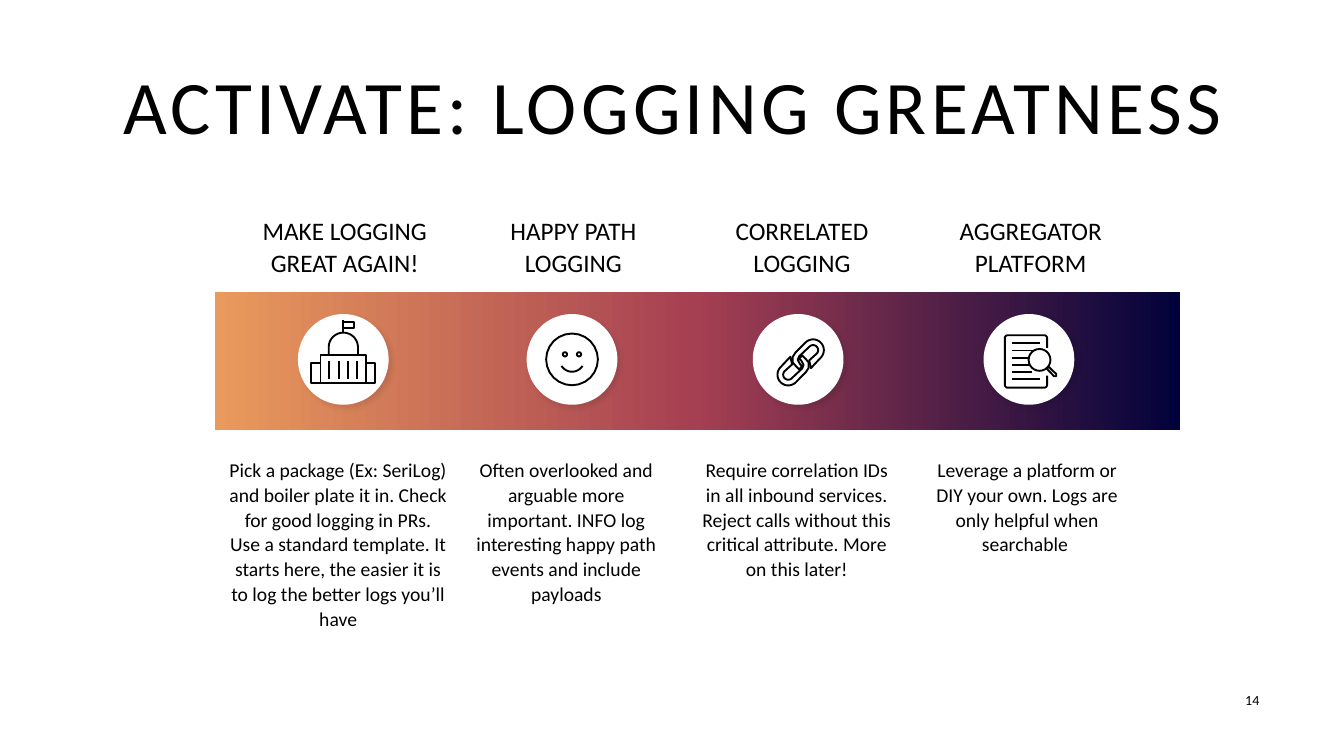
from math import cos, radians, sin

from lxml import etree
from pptx import Presentation, util as u
from pptx.dml.color import RGBColor
from pptx.enum import shapes, text
from pptx.oxml import parse_xml
from pptx.oxml.ns import nsdecls

COLORS = {"ink": "000000", "paper": "FFFFFF", "navy": "01023B",
          "rose": "A53F52", "amber": "EA9A5C"}
COLUMNS, ROWS = 160, 90


def arc(cx, cy, r, start=0, end=360):
    """Points along an arc; degrees run clockwise from three o'clock."""
    steps = 24
    angles = [radians(start + (end - start) * i / steps) for i in range(steps + 1)]
    return [(cx + r * cos(a), cy + r * sin(a)) for a in angles]


def box(left, top, right, bottom):
    return [(left, top), (right, top), (right, bottom), (left, bottom)]


class Deck:
    """Style and current slide; lengths are cells of a 160 by 90 grid."""

    font = "Calibri"
    stroke_width = u.Pt(1.35)

    def __init__(self):
        self.prs = Presentation()
        self.prs.slide_height = u.Inches(7.5)
        self.cell = self.prs.slide_height / ROWS
        self.prs.slide_width = round(self.cell * COLUMNS)
        self.s = self.prs.slides.add_slide(self.prs.slide_layouts[6])

    def emu(self, *cells):
        return [u.Emu(round(c * self.cell)) for c in cells]

    def text(self, at, words, size, align="CENTER", anchor="TOP", spacing=1.0, tracking=0):
        tf = self.s.shapes.add_textbox(*self.emu(*at)).text_frame
        tf.word_wrap = True
        tf.margin_left = tf.margin_right = tf.margin_top = tf.margin_bottom = 0
        tf.vertical_anchor = text.MSO_ANCHOR[anchor]
        p = tf.paragraphs[0]
        r = p.add_run()
        r.text = words
        p.alignment, p.line_spacing = text.PP_ALIGN[align], spacing
        p.font.name, p.font.size = self.font, u.Pt(size)
        p.font.color.rgb = RGBColor.from_string(COLORS["ink"])
        if tracking:
            r.font._element.set("spc", str(tracking * 100))

    def shape(self, kind, at):
        sp = self.s.shapes.add_shape(kind, *self.emu(*at))
        sp.shadow.inherit = False
        sp.line.fill.background()
        return sp

    def gradient_band(self, at, names):
        fill = self.shape(shapes.MSO_SHAPE.RECTANGLE, at).fill
        fill.gradient()
        fill.gradient_angle = 180
        stops = fill._fill._gradFill.gsLst
        for gs in list(stops):
            stops.remove(gs)
        for i, name in enumerate(names):
            pos = round(100000 * i / (len(names) - 1))
            stops.append(parse_xml(f'<a:gs {nsdecls("a")} pos="{pos}">'
                                   f'<a:srgbClr val="{COLORS[name]}"/></a:gs>'))

    def disc(self, at):
        sp = self.shape(shapes.MSO_SHAPE.OVAL, at)
        sp.fill.solid()
        sp.fill.fore_color.rgb = RGBColor.from_string(COLORS["paper"])
        effects = sp._element.spPr.find("{*}effectLst")
        effects.append(parse_xml(
            f'<a:outerShdw {nsdecls("a")} blurRad="{u.Pt(4)}" dist="{u.Pt(3)}" dir="2700000">'
            f'<a:srgbClr val="{COLORS["ink"]}"><a:alpha val="10000"/></a:srgbClr></a:outerShdw>'))

    def ink(self, line):
        line.color.rgb = RGBColor.from_string(COLORS["ink"])
        line.width = self.stroke_width

    def outline(self, center, points, close=True):
        points = [self.emu(center[0] + x, center[1] + y) for x, y in points]
        builder = self.s.shapes.build_freeform(*points[0])
        builder.add_line_segments(points[1:], close=close)
        sp = builder.convert_to_shape()
        sp.shadow.inherit = False
        sp.fill.background()
        self.ink(sp.line)

    def line(self, center, x1, y1, x2, y2):
        cx, cy = center
        c = self.s.shapes.add_connector(shapes.MSO_CONNECTOR.STRAIGHT,
                                        *self.emu(cx + x1, cy + y1, cx + x2, cy + y2))
        etree.SubElement(c._element.spPr,
                         "{http://schemas.openxmlformats.org/drawingml/2006/main}effectLst")
        self.ink(c.line)


def capitol(deck, center):
    for part in (box(-3.8, 0.42, -2.72, 2.85), box(2.72, 0.42, 3.8, 2.85),
                 box(-2.72, -0.5, 2.72, 2.85), box(0, -4.4, 1.3, -3.7)):
        deck.outline(center, part)
    deck.outline(center, [(-1.74, -0.5), *arc(0, -1.45, 1.74, 180, 360), (1.74, -0.5)], False)
    deck.line(center, 0, -3.19, 0, -4.7)
    for i in range(4):
        x = -1.65 + 1.1 * i
        deck.line(center, x, 0.24, x, 2.28)


def smiley(deck, center):
    deck.outline(center, arc(0, 0, 3.08))
    for x in (-0.84, 0.84):
        deck.outline(center, arc(x, -0.6, 0.25))
    deck.outline(center, arc(0, 0, 1.47, 32, 148), False)


def chain(deck, center):
    link = [(0.62, 1.16), *arc(-1.48, 1.46, 1.28, 45, 225), (-1.22, -0.68), (-1.02, 0.24),
            *arc(-1.48, 1.46, 0.6, 225, 45), (0.18, 0.72), (0.35, 0.3), (0.06, -0.24),
            (-0.18, -0.42), (0.18, -0.84), (0.54, -0.48), (0.95, 0), (0.95, 0.65)]
    middle = center[0] + 0.3, center[1] + 0.36
    for turn in (1, -1):
        deck.outline(middle, [(turn * x, turn * y) for x, y in link])


def log_search(deck, center):
    page = [(2.16, -1.38), *arc(1.8, -2.52, 0.36, 0, -90), *arc(-2.52, -2.52, 0.36, -90, -180),
            *arc(-2.52, 3, 0.36, 180, 90), *arc(1.8, 3, 0.36, 90, 0), (2.16, 1.92)]
    deck.outline(center, page, False)
    for i, right in enumerate((1.35, 0.5, -0.05, 0.1, 0.4, 1.35)):
        y = -1.92 + 0.86 * i
        deck.line(center, -2.04, y, right, y)
    deck.outline(center, arc(1.26, 0.06, 1.3))
    deck.outline(center, [(2.12, 1.1), (2.35, 0.88), (3.24, 1.74), (3.24, 2), (2.98, 2)])


# disc left, icon, heading, body left, body width, body height, body
STEPS = [
    (35.47, capitol, "MAKE LOGGING GREAT AGAIN!", 27.24, 26.04, 25.2,
     "Pick a package (Ex: SeriLog) and boiler plate it in. Check for good logging in PRs. "
     "Use a standard template. It starts here, the easier it is to log the better logs "
     "you’ll have"),
    (62.7, smiley, "HAPPY PATH LOGGING", 56.14, 22.56, 12.72,
     "Often overlooked and arguable more important. INFO log interesting happy path "
     "events and include payloads"),
    (89.62, chain, "CORRELATED LOGGING", 83.58, 22.56, 12.84,
     "Require correlation IDs in all inbound services. Reject calls without this critical "
     "attribute. More on this later!"),
    (117.1, log_search, "AGGREGATOR PLATFORM", 111, 22.56, 11.52,
     "Leverage a platform or DIY your own. Logs are only helpful when searchable "),
]


def main():
    deck = Deck()
    deck.text((146.42, 82.2, 3.5, 2.3), "14", 10, align="RIGHT", anchor="MIDDLE")
    deck.gradient_band((25.56, 34.8, 114.96, 16.44), ("navy", "rose", "amber"))
    deck.text((10.03, 8.92, 140.2, 7), "ACTIVATE: LOGGING GREATNESS", 54,
              anchor="MIDDLE", tracking=3)
    disc_top, disc_size = 37.39, 10.8
    for i, (left, icon, heading, body_left, width, height, body) in enumerate(STEPS):
        deck.text((29.76 + 27.22 * i, 25.44, 22.56, 7.68), heading, 18, spacing=1.05)
        deck.disc((left, disc_top, disc_size, disc_size))
        icon(deck, (left + disc_size / 2, disc_top + disc_size / 2))
        deck.text((body_left, 54.43, width, height), body, 14, spacing=1.05)
    deck.prs.save("out.pptx")


if __name__ == "__main__":
    main()
